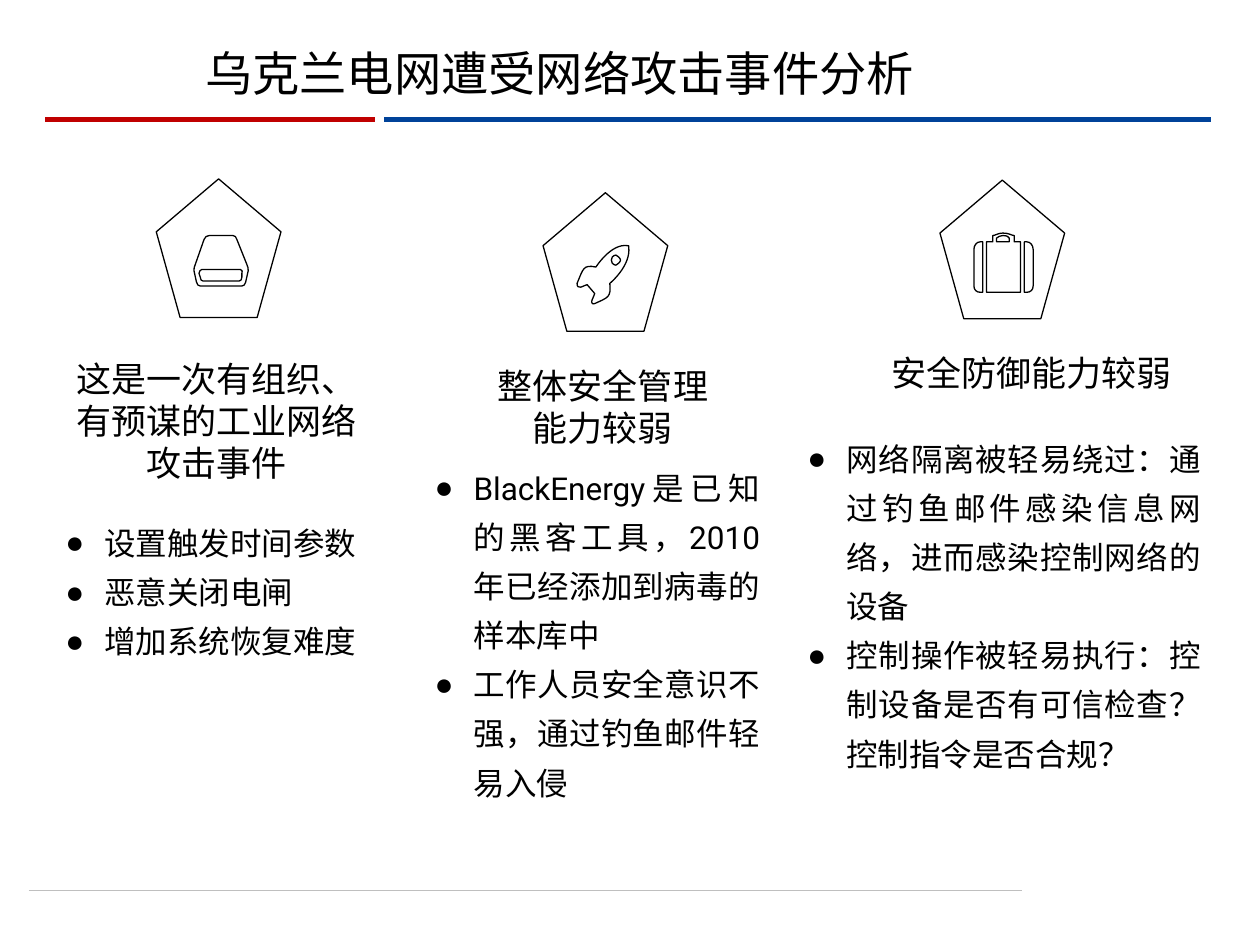
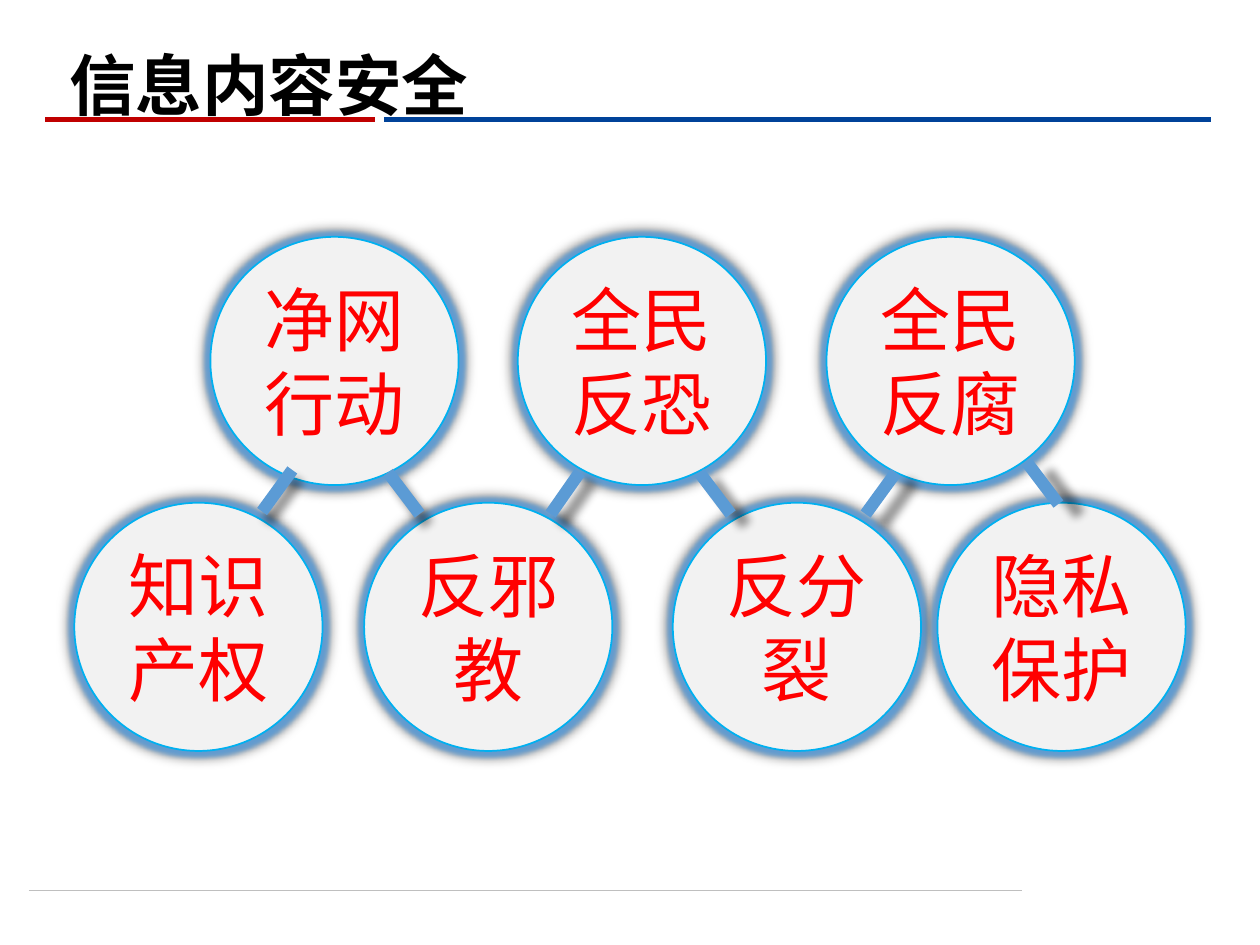
"""Build two slides on power grid attacks and information content security."""
from lxml import etree
from pptx import Presentation
from pptx.dml.color import RGBColor
from pptx.enum.shapes import MSO_CONNECTOR as CONN, MSO_SHAPE as SHAPE
from pptx.enum.text import MSO_ANCHOR as ANCHOR, PP_ALIGN as ALIGN
from pptx.oxml.ns import qn
from pptx.util import Pt

PX = 9144
CJK = "Noto Sans CJK SC"
BLACK, WHITE, RED = "000000", "FFFFFF", "FF0000"
NAVY, CRIMSON, GREY = "004299", "C00000", "BFBFBF"
PALE, CYAN, BLUE = "F2F2F2", "00B0F0", "5B9BD5"

HEADING = {"font": {"size": Pt(20), "name": CJK},
           "para": {"alignment": ALIGN.CENTER, "line_spacing": Pt(24)}}
BULLETS = {"font": {"size": Pt(18), "name": CJK},
           "para": {"alignment": ALIGN.JUSTIFY, "line_spacing": Pt(28.1)}}
ROBOTO_BULLETS = {**BULLETS, "font": {"size": Pt(18), "name": "Roboto"}}
BUBBLE = {"font": {"size": Pt(40), "name": CJK},
          "para": {"alignment": ALIGN.CENTER, "line_spacing": Pt(48)}}

COLUMNS = [
    {"pentagon": (124, 142), "head_box": (44, 279, 256, 111),
     "head": "这是一次有组织、有预谋的工业网络攻击事件",
     "list_box": (42, 402, 278, 128), "style": BULLETS,
     "items": ["设置触发时间参数", "恶意关闭电闸", "增加系统恢复难度"]},
    {"pentagon": (431, 153), "head_box": (379, 284, 199, 77),
     "head": "整体安全管理能力较弱",
     "list_box": (335, 358, 278, 285), "style": ROBOTO_BULLETS,
     "items": ["BlackEnergy是已知的黑客工具，2010年已经添加到病毒的样本库中",
               "工作人员安全意识不强，通过钓鱼邮件轻易入侵"]},
    {"pentagon": (746, 143), "head_box": (691, 274, 255, 44),
     "head": "安全防御能力较弱", "framed": True,
     "list_box": (631, 335, 332, 285), "style": BULLETS,
     "items": ["网络隔离被轻易绕过：通过钓鱼邮件感染信息网络，进而感染控制网络的设备",
               "控制操作被轻易执行：控制设备是否有可信检查？控制指令是否合规？"]},
]

SUITCASE = [
    [(815, 192), (813, 192), (813, 232), (815, 232), (818, 232, 820, 230, 820, 227),
     (820, 198), (820, 195, 818, 192, 815, 192)],
    [(773, 198), (773, 227), (773, 230, 775, 232, 778, 232), (780, 232), (780, 192),
     (778, 192), (775, 192, 773, 195, 773, 198)],
    [(805, 187), (803, 187, 801, 185, 796, 185), (792, 185, 790, 187, 788, 187),
     (788, 192), (783, 192), (783, 232), (810, 232), (810, 192), (805, 192)],
    [(801, 192), (791, 192), (791, 189), (792, 188, 794, 187, 796, 187),
     (799, 187, 801, 188, 801, 189)],
]
DRIVE = [
    [(196, 210), (188, 190), (188, 188, 186, 187, 185, 187), (166, 187),
     (164, 187, 163, 188, 162, 190), (155, 210), (154, 211, 154, 214, 154, 215),
     (156, 224), (156, 226, 158, 227, 159, 227), (192, 227),
     (193, 227, 195, 226, 195, 224), (197, 215), (197, 214, 197, 211, 196, 210)],
    [(192, 217), (192, 220), (192, 222, 191, 223, 190, 223), (161, 223),
     (160, 223, 159, 222, 159, 220), (158, 217), (158, 216, 159, 214, 160, 214),
     (191, 214), (192, 214, 193, 216, 192, 217)],
]
ROCKET = [
    [(484, 225), (484, 225, 501, 211, 499, 196), (499, 195), (498, 195),
     (485, 193, 473, 212, 473, 212), (463, 210, 463, 213, 458, 225),
     (458, 228, 459, 228, 461, 228), (463, 227, 466, 226, 466, 226), (472, 233),
     (472, 233, 471, 236, 470, 238), (469, 240, 470, 242, 472, 241),
     (483, 236, 485, 236, 484, 225)],
    [(486, 209), (485, 207, 485, 206, 486, 204), (488, 202, 490, 202, 491, 204),
     (493, 206, 493, 207, 491, 209), (490, 211, 488, 211, 486, 209)],
]

DIAMETER = 197
BUBBLES = [(167, 188, "净网行动"), (411, 188, "全民反恐"), (656, 188, "全民反腐"),
           (59, 399, "知识产权"), (289, 399, "反邪教"), (534, 399, "反分裂"),
           (744, 399, "隐私保护")]
LINKS = [(308, 375, 333, 408), (555, 375, 580, 408), (460, 375, 437, 408),
         (711, 375, 687, 408), (232, 373, 208, 406), (815, 367, 840, 400)]


def rgb(color):
    """Turn a hex string into a colour."""
    return RGBColor.from_string(color)


def emu(*lengths):
    """Turn px lengths into EMU."""
    return [n * PX for n in lengths]


def assign(obj, values):
    """Set attributes of an object from a dict."""
    for name, value in values.items():
        setattr(obj, name, value)


def add_alpha(clr, percent):
    """Make a colour element partly transparent."""
    etree.SubElement(clr, qn("a:alpha"), val=str(percent * 1000))


def add_effect(effects, tag, color, alpha, **attrs):
    """Append one coloured effect to an effect list."""
    node = etree.SubElement(effects, qn(tag), attrs)
    add_alpha(etree.SubElement(node, qn("a:srgbClr"), val=color), alpha)


def set_effects(sp, shadow=False, glow=False):
    """Replace inherited effects by an optional glow and soft shadow."""
    effects = etree.SubElement(sp._element.spPr, qn("a:effectLst"))
    if glow:
        add_effect(effects, "a:glow", BLUE, 90, rad="63500")
    if shadow:
        add_effect(effects, "a:outerShdw", BLACK, 40, blurRad="63500", sx="102000",
                   sy="102000", algn="ctr", rotWithShape="0")


def paint(sp, fill, line, width=None, **effects):
    """Give a shape its fill, outline and effects."""
    if fill:
        sp.fill.solid()
        sp.fill.fore_color.rgb = rgb(fill)
    else:
        sp.fill.background()
    sp.line.color.rgb = rgb(line)
    if width:
        sp.line.width = Pt(width)
    set_effects(sp, **effects)


def add_line(s, ends, color, width, shadow=False):
    """Draw a straight line between two points."""
    sp = s.shapes.add_connector(CONN.STRAIGHT, *emu(*ends))
    sp.line.color.rgb = rgb(color)
    sp.line.width = Pt(width)
    set_effects(sp, shadow)


def add_bullet(p):
    """Give a paragraph a round bullet with a hanging indent."""
    props = p._p.get_or_add_pPr()
    for name, value in {"marL": 31 * PX, "indent": -31 * PX, "hangingPunct": 0}.items():
        props.set(name, str(value))
    etree.SubElement(props, qn("a:buFont"), typeface="Arial")
    etree.SubElement(props, qn("a:buChar"), char="●")


def write(sp, texts, style, color=BLACK, anchor=ANCHOR.TOP, bullets=False):
    """Fill a shape with one styled paragraph per text."""
    tf = sp.text_frame
    assign(tf, {"word_wrap": True, "vertical_anchor": anchor})
    for i, text in enumerate(texts):
        p = tf.add_paragraph() if i else tf.paragraphs[0]
        if bullets:
            add_bullet(p)
        assign(p, style["para"])
        r = p.add_run()
        r.text = text
        assign(r.font, style["font"])
        r.font.color.rgb = rgb(color)
        etree.SubElement(r._r.get_or_add_rPr(), qn("a:ea"), typeface=CJK)


def add_text(s, box, texts, style, **options):
    """Add a wrapping text box."""
    write(s.shapes.add_textbox(*emu(*box)), texts, style, **options)


def add_title(s, box, text, **font):
    """Add a slide title standing on the bottom of its box."""
    style = {"font": font, "para": {"line_spacing": 0.9}}
    add_text(s, box, [text], style, anchor=ANCHOR.BOTTOM)


def bend(sp, segments):
    """Turn the straight segments of a freeform into their cubic curves."""
    for line, seg in zip(list(sp._element.iter(qn("a:lnTo"))), segments):
        if len(seg) == 6:
            curve = etree.Element(qn("a:cubicBezTo"))
            for x, y in zip(seg[::2], seg[1::2]):
                etree.SubElement(curve, qn("a:pt"), x=str(x * PX - sp.left),
                                 y=str(y * PX - sp.top))
            line.getparent().replace(line, curve)


def add_icon(s, contours):
    """Draw an outlined icon from its contours."""
    builder = s.shapes.build_freeform(*emu(*contours[0][0]), scale=1.0)
    for i, (start, *segments) in enumerate(contours):
        if i:
            builder.move_to(*emu(*start))
        builder.add_line_segments([emu(*seg[-2:]) for seg in segments], close=True)
    sp = builder.convert_to_shape()
    bend(sp, [seg for contour in contours for seg in contour[1:]])
    paint(sp, WHITE, BLACK)


def add_column(s, column):
    """Draw a pentagon with its heading and bullet list."""
    sp = s.shapes.add_shape(SHAPE.REGULAR_PENTAGON, *emu(*column["pentagon"], 99, 110))
    paint(sp, WHITE, BLACK)
    add_alpha(sp._element.spPr.find(qn("a:solidFill"))[0], 46)
    if column.get("framed"):
        sp = s.shapes.add_shape(SHAPE.RECTANGLE, *emu(*column["head_box"]))
        paint(sp, None, WHITE)
        write(sp, [column["head"]], HEADING)
    else:
        add_text(s, column["head_box"], [column["head"]], HEADING)
    add_text(s, column["list_box"], column["items"], column["style"], bullets=True)


def add_bubble(s, left, top, text):
    """Draw a glowing circle with a red label."""
    sp = s.shapes.add_shape(SHAPE.OVAL, *emu(left, top, DIAMETER, DIAMETER))
    paint(sp, PALE, CYAN, 1, shadow=True, glow=True)
    write(sp, [text], BUBBLE, color=RED, anchor=ANCHOR.MIDDLE)


def add_base_slide(prs):
    """Add a blank slide with the shared rules."""
    s = prs.slides.add_slide(prs.slide_layouts[6])
    add_line(s, (23, 707, 811, 707), GREY, 0.5)
    add_line(s, (305, 95, 961, 95), NAVY, 3)
    add_line(s, (36, 95, 298, 95), CRIMSON, 3)
    return s


def add_attack_slide(prs):
    """Build the slide that analyses the grid attack."""
    s = add_base_slide(prs)
    add_title(s, (153, 36, 694, 50), "乌克兰电网遭受网络攻击事件分析",
              size=Pt(27), name="Times New Roman")
    for column in COLUMNS:
        add_column(s, column)
    for icon in (SUITCASE, DRIVE, ROCKET):
        add_icon(s, icon)


def add_content_slide(prs):
    """Build the slide of linked content security topics."""
    s = add_base_slide(prs)
    for bubble in BUBBLES:
        add_bubble(s, *bubble)
    for link in LINKS:
        add_line(s, link, BLUE, 7, shadow=True)
    add_title(s, (45, -41, 862, 145), "信息内容安全",
              size=Pt(38), name="Arial", bold=True)


def main():
    """Build and save the presentation."""
    prs = Presentation()
    prs.slide_width, prs.slide_height = emu(1000, 750)
    add_attack_slide(prs)
    add_content_slide(prs)
    prs.save("out.pptx")


if __name__ == "__main__":
    main()
